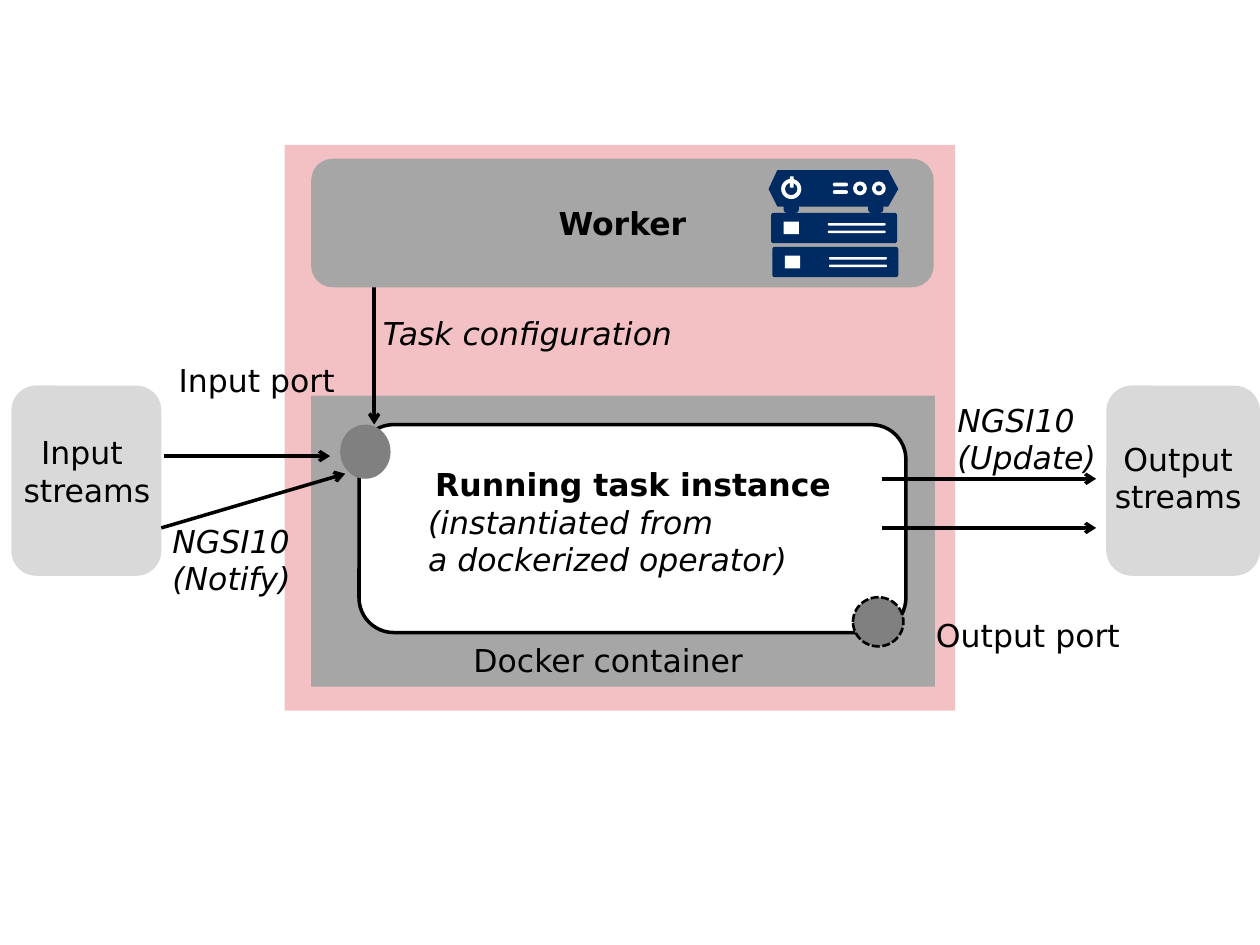
from lxml import etree
from pptx import Presentation
from pptx import util as u
from pptx.dml.color import RGBColor
from pptx.enum import dml, shapes, text
from pptx.oxml import ns

THEME = dict(font="DejaVu Sans", size=18, ink="000000", zone="F3C1C3", mid="A6A6A6",
             pale="D9D9D9", port="808080", white="FFFFFF", navy="002B62")
RECT = shapes.MSO_SHAPE.RECTANGLE
ROUND = shapes.MSO_SHAPE.ROUNDED_RECTANGLE
OVAL = shapes.MSO_SHAPE.OVAL
RING = shapes.MSO_SHAPE.DONUT

ZONES = [
    (RECT, (2.26, 1.15, 5.32, 4.49), "zone"),
    (RECT, (2.47, 3.14, 4.95, 2.31), "mid"),
    (ROUND, (2.85, 3.37, 4.34, 1.65), "white", 2),
    (OVAL, (2.7, 3.37, 0.4, 0.43), "port"),
]
STREAMS = [
    (ROUND, (0.09, 3.06, 1.19, 1.51), "pale"),
    (ROUND, (8.78, 3.06, 1.22, 1.51), "pale"),
]
OUTPORT = (OVAL, (6.77, 4.74, 0.4, 0.39), "port", 1.5)
WORKER = (ROUND, (2.47, 1.26, 4.94, 1.02), "mid")
ARROWS = [
    (1.28, 4.19, 2.74, 3.76),
    (1.3, 3.62, 2.62, 3.62),
    (2.97, 2.27, 2.97, 3.37),
    (7, 3.8, 8.7, 3.8),
    (7, 4.19, 8.7, 4.19),
]
LABELS = [
    ((3.66, 5.04, 2.36, 0.4), [("Docker container", "")]),
    ((3.3, 3.64, 3.45, 1.01), [("Running task instance", "bc"),
                               ("(instantiated from", "i"), ("a dockerized operator)", "i")]),
    ((2.94, 2.44, 3.18, 0.4), [("Task configuration", "i")]),
    ((1.27, 4.09, 1.19, 0.71), [("NGSI10", "i"), ("(Notify)", "i")]),
    ((7.5, 3.13, 1.33, 0.71), [("NGSI10", "i"), ("(Update)", "i")]),
    ((0.08, 3.39, 1.22, 0.71), [("Input ", "c"), ("streams", "c")]),
    ((8.74, 3.44, 1.22, 0.71), [("Output", "c"), ("streams", "c")]),
    ((1.32, 2.82, 1.49, 0.4), [("Input port", "")]),
    ((7.33, 4.84, 1.68, 0.4), [("Output port", "")]),
]
UNITS = [(6.13, 1.96), (6.12, 1.69)]
CASE = [(6.17, 1.35), (7.05, 1.35), (7.13, 1.5), (7.05, 1.64), (6.17, 1.64), (6.1, 1.5)]
FEET = [6.22, 6.89]
DIALS = [6.77, 6.92]
DASHES = [1.45, 1.51]


def color(name):
    return RGBColor.from_string(THEME[name])


def paint(shape, fill, width=0):
    shape.shadow.inherit = False
    shape.fill.solid()
    shape.fill.fore_color.rgb = color(fill)
    if width:
        shape.line.color.rgb = color("ink")
        shape.line.width = u.Pt(width)
    else:
        shape.line.fill.background()
    return shape


def draw(pool, kind, box, fill, width=0, bend=None):
    shape = paint(pool.add_shape(kind, *map(u.Inches, box)), fill, width)
    if bend is not None:
        shape.adjustments[0] = bend
    return shape


def write(frame, lines):
    frame.text = "\n".join(line for line, _ in lines)
    for para, (_, style) in zip(frame.paragraphs, lines):
        para.alignment = text.PP_ALIGN.CENTER if "c" in style else text.PP_ALIGN.LEFT
        for run in para.runs:
            font = run.font
            font.name, font.size = THEME["font"], u.Pt(THEME["size"])
            font.bold, font.italic = "b" in style, "i" in style
            font.color.rgb = color("ink")


def label(pool, box, lines):
    frame = pool.add_textbox(*map(u.Inches, box)).text_frame
    frame.word_wrap = False
    frame.auto_size = text.MSO_AUTO_SIZE.SHAPE_TO_FIT_TEXT
    write(frame, lines)


def arrow(pool, ends):
    link = pool.add_connector(shapes.MSO_CONNECTOR.STRAIGHT, *map(u.Inches, ends))
    link.line.color.rgb = color("ink")
    link.line.width = u.Pt(2)
    etree.SubElement(link.line._get_or_add_ln(), ns.qn("a:tailEnd"), type="arrow")
    etree.SubElement(link._element.spPr, ns.qn("a:effectLst"))


def server(pool):
    for left, top in UNITS:
        draw(pool, ROUND, (left, top, 1, 0.24), "navy", bend=0.08)
        draw(pool, RECT, (left + 0.1, top + 0.07, 0.12, 0.1), "white")
        for drop in (0.08, 0.14):
            draw(pool, ROUND, (left + 0.45, top + drop, 0.46, 0.02), "white", bend=0.5)
    for left in FEET:
        draw(pool, ROUND, (left, 1.6, 0.12, 0.09), "navy", bend=0.3)
    pen = pool.build_freeform(*map(u.Inches, CASE[0]), scale=1.0)
    pen.add_line_segments([tuple(map(u.Inches, spot)) for spot in CASE[1:]], close=True)
    paint(pen.convert_to_shape(), "navy")
    draw(pool, RING, (6.2, 1.42, 0.16, 0.16), "white", bend=0.19)
    draw(pool, RECT, (6.27, 1.4, 0.03, 0.09), "white")
    for top in DASHES:
        draw(pool, ROUND, (6.61, top, 0.12, 0.03), "white", bend=0.5)
    for left in DIALS:
        draw(pool, RING, (left, 1.44, 0.11, 0.11), "white", bend=0.27)


def main():
    deck = Presentation()
    deck.slide_width, deck.slide_height = u.Inches(10), u.Inches(7.5)
    pool = deck.slides.add_slide(deck.slide_layouts[6]).shapes
    for item in ZONES + STREAMS:
        draw(pool, *item)
    for ends in ARROWS:
        arrow(pool, ends)
    draw(pool, *OUTPORT).line.dash_style = dml.MSO_LINE.SQUARE_DOT
    head = draw(pool, *WORKER).text_frame
    head.vertical_anchor = text.MSO_ANCHOR.MIDDLE
    write(head, [("Worker", "bc")])
    server(pool.add_group_shape().shapes)
    for box, lines in LABELS:
        label(pool, box, lines)
    deck.save("out.pptx")


if __name__ == "__main__":
    main()
